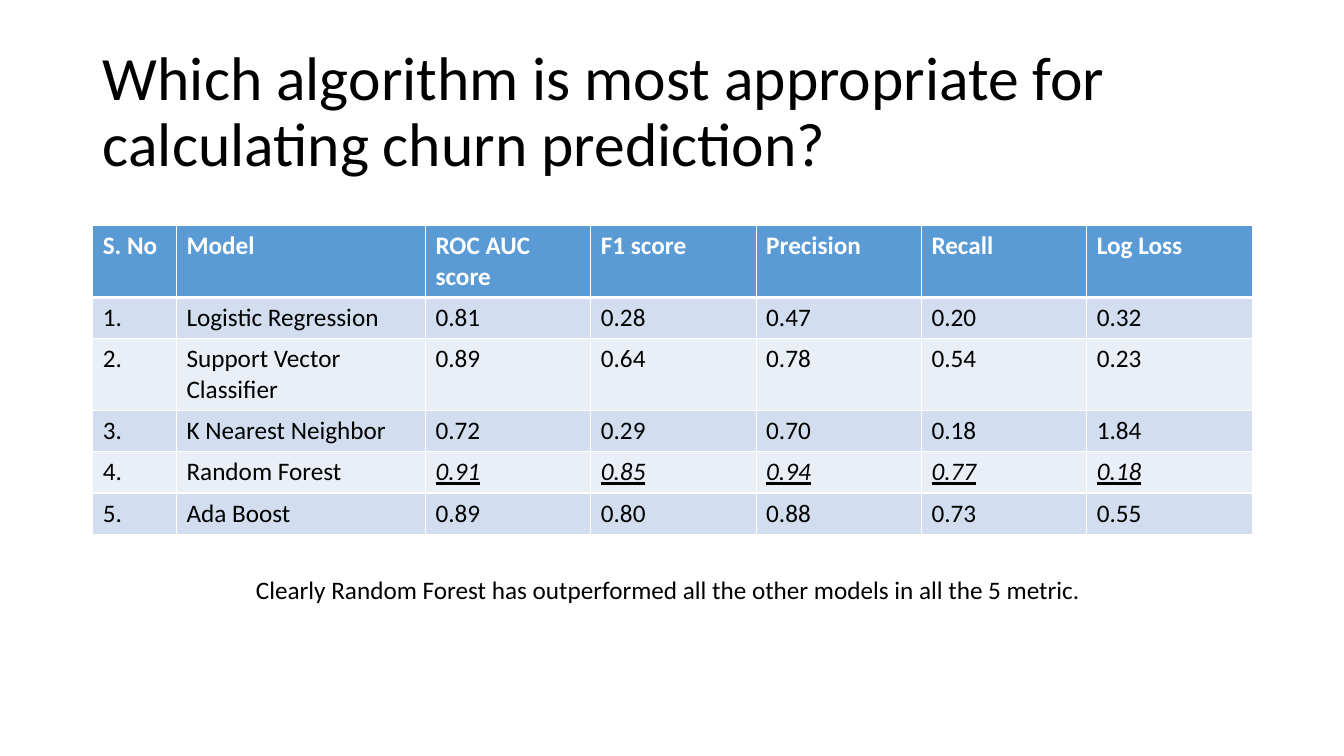
from dataclasses import dataclass

from lxml import etree
from pptx import Presentation
from pptx.dml.color import RGBColor
from pptx.enum.text import MSO_ANCHOR, MSO_AUTO_SIZE, PP_ALIGN
from pptx.util import Emu, Pt

LEFT = PP_ALIGN.LEFT
MIDDLE, TOP = MSO_ANCHOR.MIDDLE, MSO_ANCHOR.TOP
NO_FIT, GROW = MSO_AUTO_SIZE.NONE, MSO_AUTO_SIZE.SHAPE_TO_FIT_TEXT
NS = "http://schemas.openxmlformats.org/drawingml/2006/main"
EMU_PER_PX = 9144  # 100 px to the inch
TITLE_ONLY = 5


@dataclass(frozen=True)
class Theme:
    font: str = "Calibri"
    title_size: int = 44
    text_size: int = 18
    text: str = "000000"
    header_text: str = "FFFFFF"
    header_fill: str = "5B9BD5"
    bands: tuple[str, str] = ("D2DEEF", "EAEFF7")
    border: str = "FFFFFF"
    thin: int = 1
    thick: int = 3


@dataclass(frozen=True)
class Box:
    x: int
    y: int
    w: int
    h: int

    def emu(self) -> tuple[Emu, Emu, Emu, Emu]:
        return px(self.x), px(self.y), px(self.w), px(self.h)


@dataclass(frozen=True)
class Model:
    name: str
    scores: tuple[str, ...]
    best: bool = False


THEME = Theme()
TITLE = "Which algorithm is most appropriate for calculating churn prediction?"
CONCLUSION = "Clearly Random Forest has outperformed all the other models in all the 5 metric."
TITLE_BOX = Box(92, 40, 1150, 145)
TABLE_BOX = Box(92, 224, 1150, 246)
CONCLUSION_BOX = Box(244, 565, 963, 40)
HEADERS = ("S. No", "Model", "ROC AUC score", "F1 score", "Precision", "Recall", "Log Loss")
COLUMN_WIDTHS = (83, 247) + (164,) * 5
MODELS = (
    Model("Logistic Regression", ("0.81", "0.28", "0.47", "0.20", "0.32")),
    Model("Support Vector Classifier", ("0.89", "0.64", "0.78", "0.54", "0.23")),
    Model("K Nearest Neighbor", ("0.72", "0.29", "0.70", "0.18", "1.84")),
    Model("Random Forest", ("0.91", "0.85", "0.94", "0.77", "0.18"), best=True),
    Model("Ada Boost", ("0.89", "0.80", "0.88", "0.73", "0.55")),
)


def px(n: int) -> Emu:
    return Emu(n * EMU_PER_PX)


def write(tf, text: str, size: int, color: str, bold: bool = False, marked: bool = False) -> None:
    """Fill a text frame with one paragraph; marked text is italic and underlined."""
    tf.text = text
    tf.word_wrap = True
    p = tf.paragraphs[0]
    p.alignment = LEFT
    font = p.runs[0].font
    font.name, font.size = THEME.font, Pt(size)
    font.color.rgb = RGBColor.from_string(color)
    font.bold, font.italic, font.underline = bold, marked, marked


def add_borders(cell, bottom: int, top: int) -> None:
    """Draw the four cell borders; widths are in points."""
    tc_pr = cell._tc.get_or_add_tcPr()
    widths = {"lnL": THEME.thin, "lnR": THEME.thin, "lnT": top, "lnB": bottom}
    for tag, width in widths.items():
        ln = etree.SubElement(tc_pr, f"{{{NS}}}{tag}", w=str(Pt(width)))
        fill = etree.SubElement(ln, f"{{{NS}}}solidFill")
        etree.SubElement(fill, f"{{{NS}}}srgbClr", val=THEME.border)


def style_cell(cell, row: int, fill: str) -> None:
    add_borders(
        cell,
        bottom=THEME.thick if row == 0 else THEME.thin,
        top=THEME.thick if row == 1 else THEME.thin,
    )
    cell.fill.solid()
    cell.fill.fore_color.rgb = RGBColor.from_string(fill)


def add_title(s) -> None:
    sp = s.shapes.title
    sp.left, sp.top, sp.width, sp.height = TITLE_BOX.emu()
    tf = sp.text_frame
    write(tf, TITLE, THEME.title_size, THEME.text)
    tf.auto_size, tf.vertical_anchor = NO_FIT, MIDDLE
    tf.paragraphs[0].line_spacing = 0.9


def add_score_table(s) -> None:
    frame = s.shapes.add_table(len(MODELS) + 1, len(HEADERS), *TABLE_BOX.emu())
    table = frame.table
    for column, width in zip(table.columns, COLUMN_WIDTHS):
        column.width = px(width)
    for col, label in enumerate(HEADERS):
        cell = table.cell(0, col)
        write(cell.text_frame, label, THEME.text_size, THEME.header_text, bold=True)
        style_cell(cell, 0, THEME.header_fill)
    for row, model in enumerate(MODELS, start=1):
        for col, value in enumerate((f"{row}.", model.name, *model.scores)):
            cell = table.cell(row, col)
            write(cell.text_frame, value, THEME.text_size, THEME.text,
                  marked=model.best and col >= 2)
            style_cell(cell, row, THEME.bands[(row - 1) % 2])


def add_conclusion(s) -> None:
    tf = s.shapes.add_textbox(*CONCLUSION_BOX.emu()).text_frame
    write(tf, CONCLUSION, THEME.text_size, THEME.text)
    tf.auto_size, tf.vertical_anchor = GROW, TOP


def main() -> None:
    prs = Presentation()
    prs.slide_width, prs.slide_height = px(1333), px(750)
    s = prs.slides.add_slide(prs.slide_layouts[TITLE_ONLY])
    add_title(s)
    add_score_table(s)
    add_conclusion(s)
    prs.save("out.pptx")


if __name__ == "__main__":
    main()
